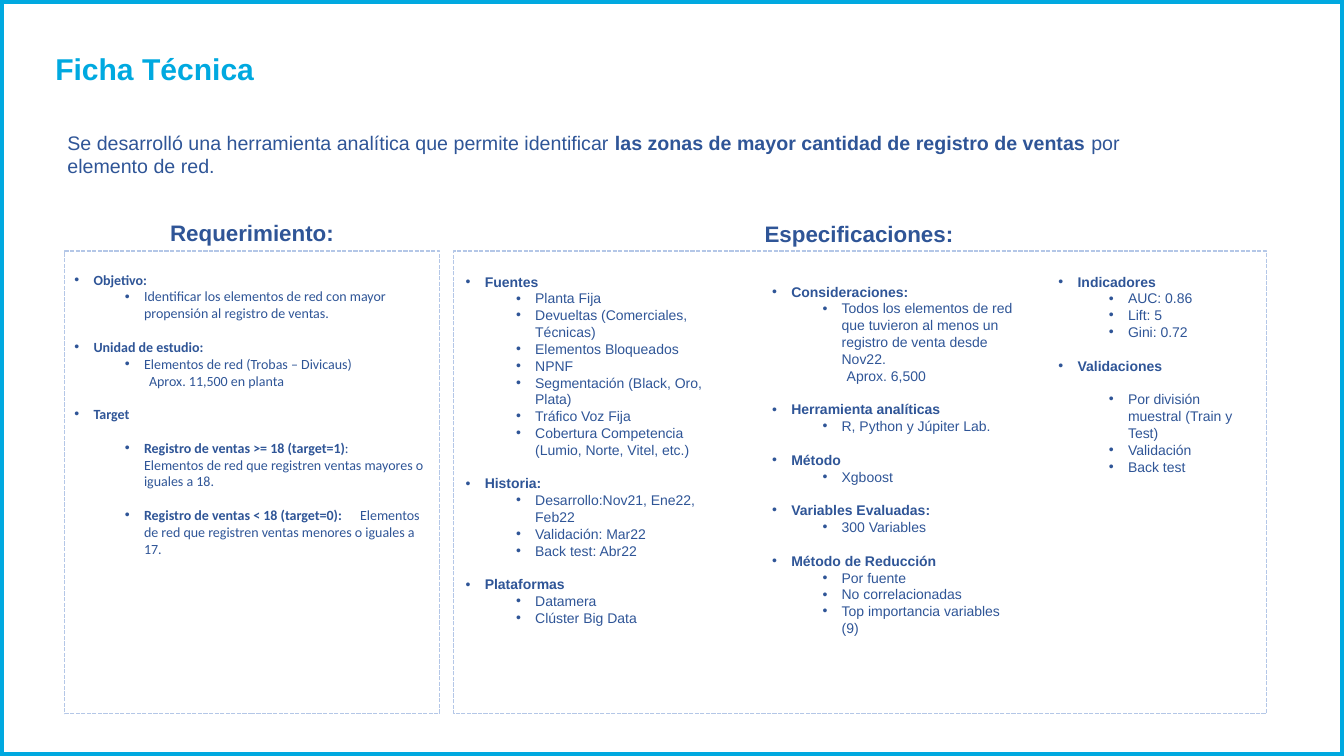
from dataclasses import dataclass

from lxml import etree
from pptx import Presentation
from pptx.dml.color import RGBColor
from pptx.enum import dml, shapes, text
from pptx.oxml import ns
from pptx.util import Inches, Pt

COLORS = {"cyan": "00A9E0", "navy": "2F5597", "pale": "B4C7E7"}
HANG = 0.19
INDENTS = {"head": HANG, "item": 0.69, "note": 0.74}
BLANK_LINE = 12
TAB_STOP = 2.89


@dataclass
class Line:
    text: str
    kind: str = "item"
    gap: int = 0


REQUIREMENTS = [
    ("Objetivo:", ["Identificar los elementos de red con mayor propensión al registro de ventas."]),
    ("Unidad de estudio:", ["Elementos de red (Trobas – Divicaus)",
                            Line("Aprox. 11,500 en planta", "note")]),
    ("Target", [
        Line("**Registro de ventas >= 18 (target=1)**:\v"
             "Elementos de red que registren ventas mayores o iguales a 18.", gap=BLANK_LINE),
        Line("**Registro de ventas < 18 (target=0):**\t"
             "Elementos de red que registren ventas menores o iguales a 17.", gap=BLANK_LINE)]),
]
SOURCES = [
    ("Fuentes", ["Planta Fija", "Devueltas (Comerciales, Técnicas)", "Elementos Bloqueados",
                 "NPNF", "Segmentación (Black, Oro, Plata)", "Tráfico Voz Fija",
                 "Cobertura Competencia\v(Lumio, Norte, Vitel, etc.)"]),
    ("Historia:", ["Desarrollo:Nov21, Ene22, Feb22", "Validación: Mar22", "Back test: Abr22"]),
    ("Plataformas", ["Datamera", "Clúster Big Data"]),
]
METHOD = [
    ("Consideraciones:", ["Todos los elementos de red que tuvieron al menos un registro de venta "
                          "desde Nov22.", Line("Aprox. 6,500", "note")]),
    ("Herramienta analíticas", ["R, Python y Júpiter Lab."]),
    ("Método", ["Xgboost"]),
    ("Variables Evaluadas:", ["300 Variables"]),
    ("Método de Reducción", ["Por fuente", "No correlacionadas", "Top importancia variables (9)"]),
]
RESULTS = [
    ("Indicadores", ["AUC: 0.86", "Lift: 5", "Gini: 0.72"]),
    ("Validaciones", [Line("Por división muestral (Train y Test)", gap=BLANK_LINE),
                      "Validación", "Back test"]),
]


def add_frame(slide, left, top, width, height, color, weight, dash=None):
    frame = slide.shapes.add_shape(shapes.MSO_SHAPE.RECTANGLE, Inches(left), Inches(top),
                                   Inches(width), Inches(height))
    frame.shadow.inherit = False
    frame.fill.background()
    frame.line.color.rgb = RGBColor.from_string(COLORS[color])
    frame.line.width = Pt(weight)
    if dash:
        frame.line.dash_style = dash


def add_text_frame(slide, left, top, width, height, anchor=text.MSO_ANCHOR.TOP):
    box = slide.shapes.add_textbox(Inches(left), Inches(top), Inches(width), Inches(height))
    box.text_frame.word_wrap = True
    box.text_frame.vertical_anchor = anchor
    return box.text_frame


def write(para, content, size, color="navy", font="Arial", bold=False):
    """Fill a paragraph; parts between ** marks are bold."""
    para.font.size = Pt(size)
    para.font.name = font
    para.font.color.rgb = RGBColor.from_string(COLORS[color])
    para.font.bold = bold
    for index, part in enumerate(content.split("**")):
        for row, piece in enumerate(part.split("\v")):
            if row:
                para.add_line_break()
            if piece:
                span = para.add_run()
                span.text = piece
                if index % 2:
                    span.font.bold = True


def set_indent(para, kind, tab=False):
    """Set the indent, tab stop and bullet that belong to a kind of line."""
    bulleted = kind != "note"
    props = para._p.get_or_add_pPr()
    props.set("marL", str(Inches(INDENTS[kind])))
    props.set("indent", str(-Inches(HANG) if bulleted else 0))
    parts = []
    if bulleted:
        parts += [("a:buFont", {"typeface": "Arial"}), ("a:buChar", {"char": "•"})]
    if tab:
        parts.append(("a:tabLst", {}))
    defaults = props.find(ns.qn("a:defRPr"))
    for tag, attributes in parts:
        part = etree.Element(ns.qn(tag), attributes)
        defaults.addprevious(part)
        if tag == "a:tabLst":
            etree.SubElement(part, ns.qn("a:tab"), pos=str(Inches(TAB_STOP)), algn="l")


def add_column(slide, left, top, width, height, groups, font="Arial"):
    frame = add_text_frame(slide, left, top, width, height)
    lines = []
    for heading, items in groups:
        lines.append(Line(heading, "head", BLANK_LINE if lines else 0))
        lines += [item if isinstance(item, Line) else Line(item) for item in items]
    for index, line in enumerate(lines):
        para = frame.add_paragraph() if index else frame.paragraphs[0]
        para.space_before = Pt(line.gap)
        write(para, line.text, 10, font=font, bold=line.kind == "head")
        set_indent(para, line.kind, "\t" in line.text)


def add_heading(slide, left, top, content):
    para = add_text_frame(slide, left, top, 2.36, 0.39, text.MSO_ANCHOR.MIDDLE).paragraphs[0]
    para.alignment = text.PP_ALIGN.CENTER
    write(para, content, 16, bold=True)


def main():
    deck = Presentation()
    deck.slide_width, deck.slide_height = Inches(13.33), Inches(7.5)
    slide = deck.slides.add_slide(deck.slide_layouts[6])

    add_frame(slide, 0, 0, 13.33, 7.5, "cyan", 6)
    for left, width in ((0.64, 3.72), (4.5, 8.06)):
        add_frame(slide, left, 2.49, width, 4.59, "pale", 1, dml.MSO_LINE.SQUARE_DOT)

    title = add_text_frame(slide, 0.45, 0.49, 11.46, 0.43).paragraphs[0]
    title.line_spacing = 0.9
    write(title, "Ficha Técnica", 21.5, "cyan", bold=True)
    summary = add_text_frame(slide, 0.57, 1.08, 11.46, 0.9, text.MSO_ANCHOR.MIDDLE)
    write(summary.paragraphs[0],
          "Se desarrolló una herramienta analítica que permite identificar "
          "**las zonas de mayor cantidad de registro de ventas **por elemento de red.", 14)

    add_heading(slide, 1.32, 2.11, "Requerimiento:")
    add_heading(slide, 7.34, 2.12, "Especificaciones:")
    add_column(slide, 0.64, 2.64, 3.72, 4.21, REQUIREMENTS, "Calibri")
    add_column(slide, 4.52, 2.66, 2.87, 3.47, SOURCES)
    add_column(slide, 7.56, 2.76, 2.66, 3.47, METHOD)
    add_column(slide, 10.4, 2.66, 2.17, 1.95, RESULTS)
    deck.save("out.pptx")


if __name__ == "__main__":
    main()
